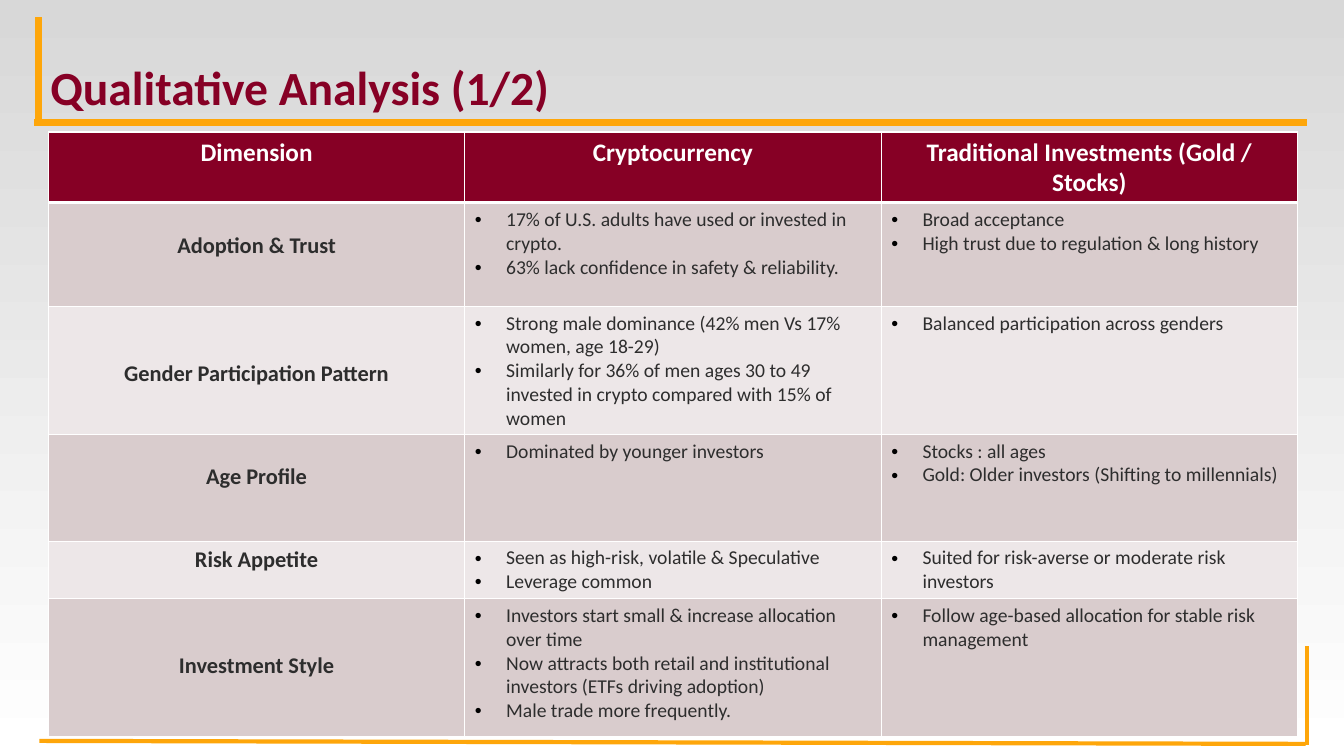
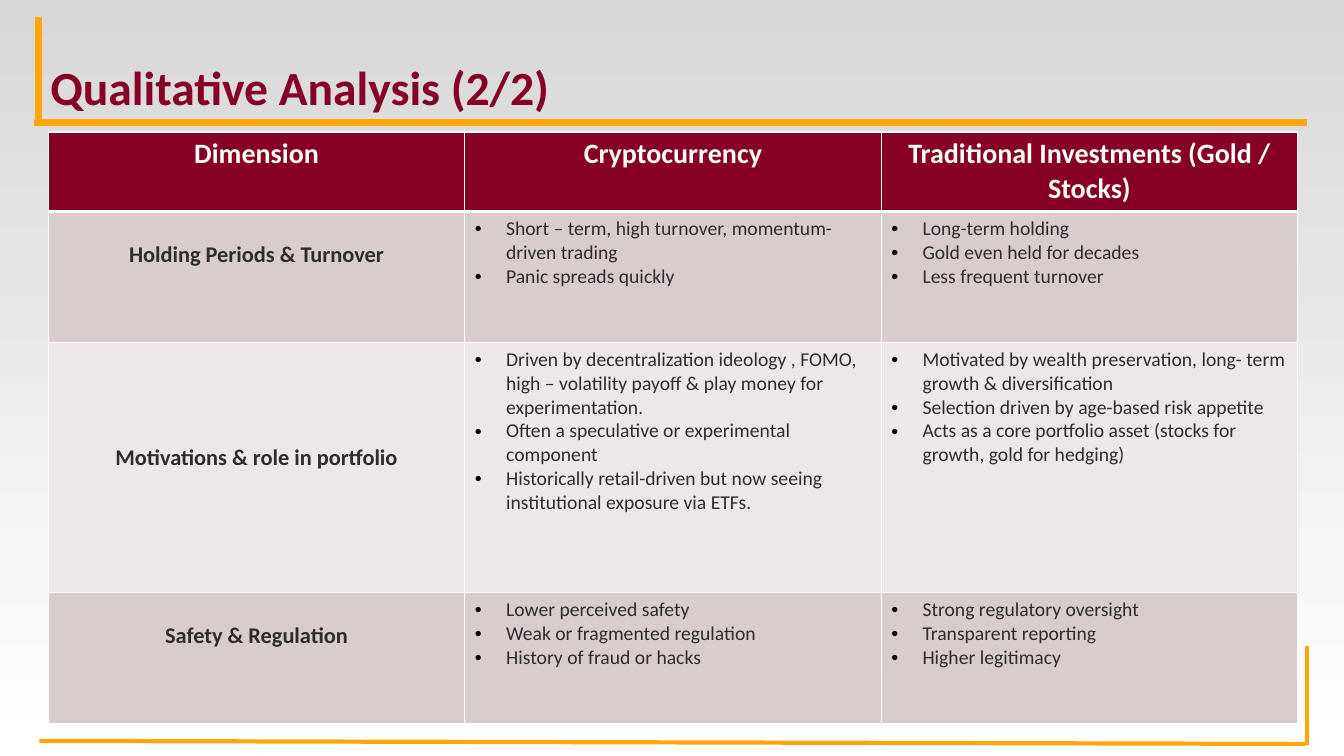
from lxml.etree import SubElement
from pptx import Presentation
from pptx.dml.color import RGBColor
from pptx.enum.shapes import MSO_CONNECTOR
from pptx.enum.text import MSO_ANCHOR, PP_ALIGN
from pptx.oxml.ns import qn
from pptx.util import Inches, Pt

MAROON = RGBColor(0x86, 0x00, 0x25)
ORANGE = RGBColor(0xFE, 0xA6, 0x0A)
WHITE = RGBColor(0xFF, 0xFF, 0xFF)
GREY = RGBColor(0xD8, 0xD8, 0xD8)
BLACK = RGBColor(0x00, 0x00, 0x00)
TEXT = RGBColor(0x2D, 0x2D, 0x2D)
BANDS = (RGBColor(0xD9, 0xCC, 0xCD), RGBColor(0xED, 0xE7, 0xE8))
FONT = "Calibri"

HEADERS = ("Dimension", "Cryptocurrency", "Traditional Investments (Gold / Stocks)")
COLUMN_WIDTH = 4.13
TABLE_LEFT, TABLE_TOP = 0.48, 1.31
CELL_MARGIN = 0.05
LABEL_STEP = 0.24  # one 14 pt line
BULLET_INDENT = Inches(0.31)

# Frame lines: start, end, width in points
FRAME_LINES = (
    ((12.95, 7.38), (0.39, 7.35), 3),
    ((12.96, 7.39), (12.96, 6.41), 3),
    ((0.34, 1.22), (12.96, 1.22), 5),
    ((0.38, 1.25), (0.38, 0.17), 5),
)

# Rows: height, lines the label is lowered by, label, crypto points, traditional points
SLIDES = (
    {
        "title": "Qualitative Analysis (1/2)",
        "header_size": 18,
        "header_height": 0.63,
        "rows": (
            (1.03, 1, "Adoption & Trust",
             ("17% of U.S. adults have used or invested in crypto.",
              "63% lack confidence in safety & reliability."),
             ("Broad acceptance",
              "High trust due to regulation & long history")),
            (1.27, 2, "Gender Participation Pattern",
             ("Strong male dominance (42% men Vs 17% women, age 18-29)",
              "Similarly for 36% of men ages 30 to 49 invested in crypto "
              "compared with 15% of women"),
             ("Balanced participation across genders",)),
            (1.06, 1, "Age Profile",
             ("Dominated by younger investors",),
             ("Stocks : all ages",
              "Gold: Older investors (Shifting to millennials)")),
            (0.57, 0, "Risk Appetite",
             ("Seen as high-risk, volatile & Speculative",
              "Leverage common"),
             ("Suited for risk-averse or moderate risk investors",)),
            (1.37, 2, "Investment Style",
             ("Investors start small & increase allocation over time",
              "Now attracts both retail and institutional investors "
              "(ETFs driving adoption)",
              "Male trade more frequently."),
             ("Follow age-based allocation for stable risk management",)),
        ),
    },
    {
        "title": "Qualitative Analysis (2/2)",
        "header_size": 20,
        "header_height": 0.79,
        "rows": (
            (1.3, 1, "Holding Periods & Turnover",
             ("Short – term, high turnover, momentum-driven trading",
              "Panic spreads quickly"),
             ("Long-term holding",
              "Gold even held for decades",
              "Less frequent turnover")),
            (2.48, 4, "Motivations & role in portfolio",
             ("Driven by decentralization ideology , FOMO, high – volatility "
              "payoff & play money for experimentation.",
              "Often a speculative or experimental component",
              "Historically retail-driven but now seeing institutional "
              "exposure via ETFs."),
             ("Motivated by wealth preservation, long- term growth & diversification",
              "Selection driven by age-based risk appetite",
              "Acts as a core portfolio asset (stocks for growth, gold for hedging)")),
            (1.3, 1, "Safety & Regulation",
             ("Lower perceived safety",
              "Weak or fragmented regulation",
              "History of fraud or hacks"),
             ("Strong regulatory oversight",
              "Transparent reporting",
              "Higher legitimacy")),
        ),
    },
)


def add_run(paragraph, text, size, color, bold=False):
    run = paragraph.add_run()
    run.text = text
    run.font.name = FONT
    run.font.size = Pt(size)
    run.font.bold = bold
    run.font.color.rgb = color


def add_solid_color(parent, color):
    SubElement(parent, qn("a:srgbClr"), val=str(color))


def set_background(master):
    fill = master.background.fill
    fill.gradient()
    fill.gradient_angle = 90
    for stop, position, color in zip(fill.gradient_stops, (0, 1), (WHITE, GREY)):
        stop.position = position
        stop.color.rgb = color


def add_frame(slide):
    for start, end, width in FRAME_LINES:
        points = [Inches(value) for value in start + end]
        connector = slide.shapes.add_connector(MSO_CONNECTOR.STRAIGHT, *points)
        connector.line.color.rgb = ORANGE
        connector.line.width = Pt(width)
        SubElement(connector._element.spPr, qn("a:effectLst"))


def add_title(slide, title):
    box = slide.shapes.add_textbox(Inches(0.37), Inches(0.18), Inches(12.59), Inches(1.03))
    frame = box.text_frame
    frame.word_wrap = True
    frame.vertical_anchor = MSO_ANCHOR.BOTTOM
    frame.margin_left = frame.margin_right = Inches(0.13)
    frame.margin_top = frame.margin_bottom = Inches(0.07)
    paragraph = frame.paragraphs[0]
    paragraph.line_spacing = 0.8
    add_run(paragraph, title, 34, MAROON, bold=True)


def style_cell(cell, color, top=1, bottom=1):
    """Set white borders (widths in points) and then the fill, as the schema orders them."""
    properties = cell._tc.get_or_add_tcPr()
    for side, width in (("L", 1), ("R", 1), ("T", top), ("B", bottom)):
        border = SubElement(properties, qn(f"a:ln{side}"), w=str(Pt(width)))
        add_solid_color(SubElement(border, qn("a:solidFill")), WHITE)
    cell.fill.solid()
    cell.fill.fore_color.rgb = color
    cell.margin_top = cell.margin_bottom = Inches(CELL_MARGIN)


def write_centred(cell, text, size, color):
    paragraph = cell.text_frame.paragraphs[0]
    paragraph.alignment = PP_ALIGN.CENTER
    add_run(paragraph, text, size, color, bold=True)


def write_bullets(cell, points):
    frame = cell.text_frame
    for index, point in enumerate(points):
        paragraph = frame.add_paragraph() if index else frame.paragraphs[0]
        properties = paragraph._p.get_or_add_pPr()
        properties.set("marL", str(BULLET_INDENT))
        properties.set("indent", str(-BULLET_INDENT))
        add_solid_color(SubElement(properties, qn("a:buClr")), BLACK)
        SubElement(properties, qn("a:buFont"), typeface="Arial")
        SubElement(properties, qn("a:buChar"), char="•")
        add_run(paragraph, point, 14, TEXT)


def add_comparison(slide, content):
    rows = content["rows"]
    heights = [content["header_height"]] + [row[0] for row in rows]
    table = slide.shapes.add_table(
        len(heights), len(HEADERS), Inches(TABLE_LEFT), Inches(TABLE_TOP),
        Inches(COLUMN_WIDTH * len(HEADERS)), Inches(sum(heights))).table
    for column in table.columns:
        column.width = Inches(COLUMN_WIDTH)
    for table_row, height in zip(table.rows, heights):
        table_row.height = Inches(height)

    for column, header in enumerate(HEADERS):
        cell = table.cell(0, column)
        style_cell(cell, MAROON, bottom=3)
        write_centred(cell, header, content["header_size"], WHITE)

    for number, (_, lowered, label, *point_lists) in enumerate(rows, start=1):
        cells = [table.cell(number, column) for column in range(len(HEADERS))]
        for cell in cells:
            style_cell(cell, BANDS[(number - 1) % 2], top=3 if number == 1 else 1)
        cells[0].margin_top = Inches(CELL_MARGIN + lowered * LABEL_STEP)
        write_centred(cells[0], label, 16, TEXT)
        for cell, points in zip(cells[1:], point_lists):
            write_bullets(cell, points)


def main():
    presentation = Presentation()
    presentation.slide_width = Inches(13.33)
    presentation.slide_height = Inches(7.5)
    set_background(presentation.slide_master)
    for content in SLIDES:
        slide = presentation.slides.add_slide(presentation.slide_layouts[6])
        add_frame(slide)
        add_title(slide, content["title"])
        add_comparison(slide, content)
    presentation.save("out.pptx")


if __name__ == "__main__":
    main()
